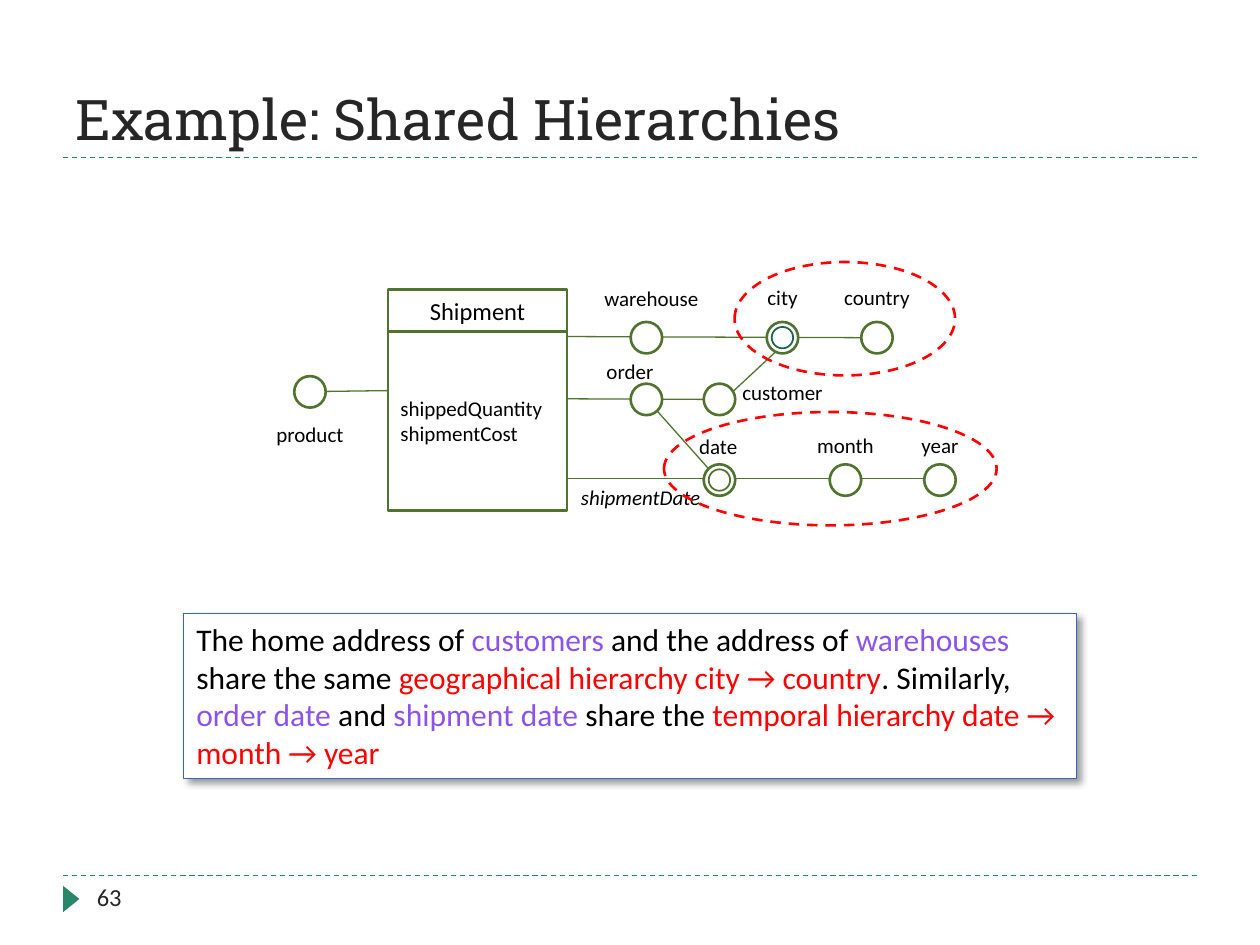
from lxml import etree
from pptx import Presentation
from pptx.dml.color import RGBColor
from pptx.enum.dml import MSO_LINE
from pptx.enum.shapes import MSO_CONNECTOR, MSO_SHAPE
from pptx.enum.text import MSO_ANCHOR, PP_ALIGN
from pptx.oxml.ns import qn
from pptx.util import Inches, Pt

STRAIGHT = MSO_CONNECTOR.STRAIGHT
RECT, OVAL, TRIANGLE = MSO_SHAPE.RECTANGLE, MSO_SHAPE.OVAL, MSO_SHAPE.ISOSCELES_TRIANGLE
DASH = MSO_LINE.DASH
LEFT, CENTER = PP_ALIGN.LEFT, PP_ALIGN.CENTER
TOP, MIDDLE, BOTTOM = MSO_ANCHOR.TOP, MSO_ANCHOR.MIDDLE, MSO_ANCHOR.BOTTOM

COLORS = {
    "black": "000000", "ink": "262626", "white": "FFFFFF", "green": "268868",
    "olive": "50742F", "teal": "1D664E", "blue": "3163CA", "violet": "8B53EB",
    "red": "FF0000",
}
BODY, HEADING = "Calibri", "Roboto Slab"
WIDTH, HEIGHT = 10, 7.5
MARGIN = 0.05 * WIDTH
RULES = (6.95, 1.25)
NODE, RING, LABEL_H = 0.25, 0.17, 0.3

COL = {"product": 2.46, "first": 5.13, "second": 5.71, "city": 6.21,
       "month": 6.71, "country": 6.96, "year": 7.46}
ROW = {"place": 2.68, "fact": 3.11, "order": 3.17, "time": 3.81}

TITLE = "Example: Shared Hierarchies"
PAGE = "63"
FACT = "Shipment"
MEASURES = ["shippedQuantity", "shipmentCost"]

# name, column, row, label shift across, label shift down, label width, ring colour
LEVELS = [
    ("product", "product", "fact", 0, 0.34, 0.75, None),
    ("warehouse", "first", "place", 0.04, -0.31, 1, None),
    ("city", "city", "place", 0, -0.32, 0.92, "teal"),
    ("country", "country", "place", 0, -0.32, 0.92, None),
    ("order", "first", "order", -0.13, -0.22, 1, None),
    ("customer", "second", "order", 0.5, -0.06, 0.92, None),
    ("date", "second", "time", -0.01, -0.27, 0.6, "olive"),
    ("month", "month", "time", 0, -0.28, 0.92, None),
    ("year", "year", "time", 0, -0.28, 0.92, None),
]
LINKS = [
    (4.19, 2.67, 6.83, 2.68), (4.42, 3.8, 7.42, 3.8), (6.18, 2.77, 5.75, 3.17),
    (2.33, 3.11, 3.08, 3.1), (5.17, 3.21, 5.65, 3.75), (3.25, 3.16, 5.58, 3.17),
]
SHARED = [(5.83, 2.08, 1.75, 0.9), (5.27, 3.27, 2.64, 0.9)]
SUMMARY = [
    ("The home address of ", "black"), ("customers ", "violet"),
    ("and the address of ", "black"), ("warehouses", "violet"),
    (" share the same ", "black"),
    ("geographical hierarchy city → country", "red"),
    (". Similarly, ", "black"), ("order date ", "violet"), ("and ", "black"),
    ("shipment date ", "violet"), ("share the ", "black"),
    ("temporal hierarchy date → month → year", "red"),
]

prs = Presentation()
prs.slide_width, prs.slide_height = Inches(WIDTH), Inches(HEIGHT)
slide = prs.slides.add_slide(prs.slide_layouts[6])
shapes = slide.shapes


def rgb(name):
    return RGBColor.from_string(COLORS[name])


def link(x1, y1, x2, y2, color="olive", dash=None):
    line = shapes.add_connector(STRAIGHT, *map(Inches, (x1, y1, x2, y2)))
    line.line.color.rgb = rgb(color)
    line.line.width = Pt(0.75)
    line.line.dash_style = dash
    etree.SubElement(line._element.spPr, qn("a:effectLst"))


def figure(kind, box, fill="white", stroke="olive", weight=1.5, dash=None):
    shape = shapes.add_shape(kind, *map(Inches, box))
    shape.shadow.inherit = False
    if fill:
        shape.fill.solid()
        shape.fill.fore_color.rgb = rgb(fill)
    else:
        shape.fill.background()
    if stroke:
        shape.line.color.rgb = rgb(stroke)
        shape.line.width = Pt(weight)
        shape.line.dash_style = dash
    else:
        shape.line.fill.background()
    return shape


def write(shape, lines, size, align=LEFT, anchor=TOP, color="black", face=BODY, italic=None):
    frame = shape.text_frame
    frame.word_wrap = True
    frame.vertical_anchor = anchor
    for i, content in enumerate(lines):
        paragraph = frame.paragraphs[0] if i == 0 else frame.add_paragraph()
        paragraph.alignment = align
        font = paragraph.font
        font.name, font.size, font.italic = face, Pt(size), italic
        font.color.rgb = rgb(color)
        paragraph.add_run().text = content


def text(box, content, size, **style):
    write(shapes.add_textbox(*map(Inches, box)), [content], size, **style)


def centered(x, y, w, h):
    return x - w / 2, y - h / 2, w, h


for y in RULES:
    link(MARGIN, y, WIDTH - MARGIN, y, "green", DASH)
figure(TRIANGLE, (0.46, 7.07, 0.21, 0.13), "green", None).rotation = 90
text((MARGIN, 0.25, WIDTH - 2 * MARGIN, 1), TITLE, 32, anchor=BOTTOM, color="ink", face=HEADING)
text((0.67, RULES[0], 2.17, 0.4), PAGE, 14, color="ink")

for ends in LINKS:
    link(*ends)
for name, col, row, dx, dy, label_w, ring in LEVELS:
    x, y = COL[col], ROW[row]
    figure(OVAL, centered(x, y, NODE, NODE))
    if ring:
        figure(OVAL, centered(x, y, RING, RING), stroke=ring, weight=1)
    text(centered(x + dx, y + dy, label_w, LABEL_H), name, 12, align=CENTER)

write(figure(RECT, (3.08, 2.3, 1.42, 0.33)), [FACT], 14, CENTER, MIDDLE)
write(figure(RECT, (3.08, 2.63, 1.42, 1.42)), MEASURES, 12, LEFT, MIDDLE)
text((4.42, 3.8, 1.33, LABEL_H), "shipmentDate", 12, align=CENTER, italic=True)

summary = figure(RECT, (1.46, 4.87, 7.08, 1.31), stroke="blue", weight=0.5)
effects = summary._element.spPr.find(qn("a:effectLst"))
shadow = etree.SubElement(effects, qn("a:outerShdw"), blurRad=str(Pt(4)), dist=str(Pt(3)),
                          dir="2700000", algn="tl", rotWithShape="0")
shade = etree.SubElement(shadow, qn("a:srgbClr"), val=COLORS["black"])
etree.SubElement(shade, qn("a:alpha"), val="40000")
write(summary, [""], 18)
paragraph = summary.text_frame.paragraphs[0]
paragraph.clear()
for words, color in SUMMARY:
    run = paragraph.add_run()
    run.text = words
    run.font.color.rgb = rgb(color)

for box in SHARED:
    figure(OVAL, box, fill=None, stroke="red", dash=DASH)

prs.save("out.pptx")
